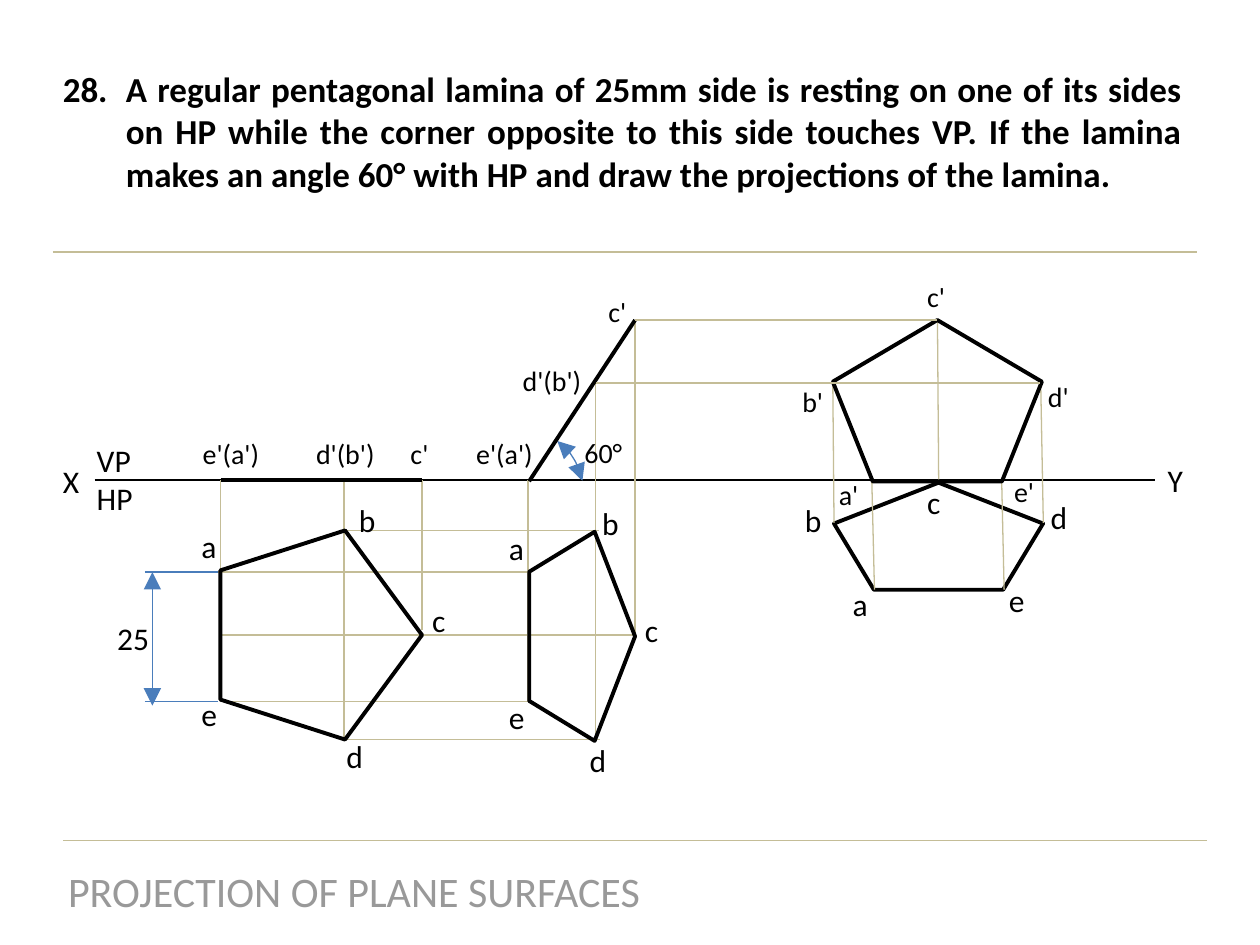
from dataclasses import dataclass

from lxml import etree
from pptx import Presentation
from pptx import util as u
from pptx.dml.color import RGBColor
from pptx.enum import shapes, text
from pptx.oxml.ns import qn

COLORS = {"ink": "000000", "guide": "C4BD97", "dimension": "4A7DBB", "footer": "999999"}
REFERENCE_Y = 274.3
LABEL_HEIGHTS = {16: 26.6, 18: 29}
LABEL_WIDTHS = {1: 24.5, 2: 28, 3: 41, 6: 49}


@dataclass
class Drawing:
    slide: object
    font: str = "Calibri"
    thin: float = 0.75
    thick: float = 2.25

    def style_line(self, shape, color, weight, arrows=False):
        shape.line.color.rgb = RGBColor.from_string(COLORS[color])
        shape.line.width = u.Pt(weight)
        if arrows:
            for end in ("a:headEnd", "a:tailEnd"):
                etree.SubElement(shape.line._get_or_add_ln(), qn(end),
                                 type="triangle", w="lg", len="lg")

    def line(self, start, end, color="guide", weight=None, arrows=False):
        connector = self.slide.shapes.add_connector(
            shapes.MSO_CONNECTOR.STRAIGHT, *map(u.Pt, start + end))
        self.style_line(connector, color, weight or self.thin, arrows)
        etree.SubElement(connector._element.spPr, qn("a:effectLst"))

    def outline(self, preset, box, color="ink", weight=None, rotation=0, arrows=False):
        shape = self.slide.shapes.add_shape(preset, *map(u.Pt, box))
        shape.shadow.inherit = False
        shape.fill.background()
        shape.rotation = rotation
        self.style_line(shape, color, weight or self.thick, arrows)
        return shape

    def pentagon(self, box, rotation=0):
        self.outline(shapes.MSO_SHAPE.REGULAR_PENTAGON, box, rotation=rotation)

    def angle_arc(self, box, rotation, start):
        arc = self.outline(shapes.MSO_SHAPE.ARC, box, "dimension", self.thin, rotation, True)
        arc.adjustments[0] = start
        arc.adjustments[1] = 0

    def text(self, content, box, size, color="ink", bold=False, wrap=True, align=None):
        frame = self.slide.shapes.add_textbox(*map(u.Pt, box)).text_frame
        frame.word_wrap = wrap
        frame.text = content
        for paragraph in frame.paragraphs:
            paragraph.alignment = align
            for run in paragraph.runs:
                run.font.name = self.font
                run.font.size = u.Pt(size)
                run.font.bold = bold
                run.font.color.rgb = RGBColor.from_string(COLORS[color])
        return frame

    def label(self, content, left, top, size=18, width=None):
        width = width or LABEL_WIDTHS[len(content)]
        self.text(content, (left, top, width, LABEL_HEIGHTS[size]), size, wrap=False)

    def question(self, content, number, box):
        frame = self.text(content, box, 20, bold=True, align=text.PP_ALIGN.JUSTIFY)
        properties = frame.paragraphs[0]._p.get_or_add_pPr()
        properties.set("marL", str(u.Pt(36)))
        properties.set("indent", str(-u.Pt(36)))
        bullet_color = etree.SubElement(properties, qn("a:buClr"))
        etree.SubElement(bullet_color, qn("a:srgbClr"), val=COLORS["ink"])
        etree.SubElement(properties, qn("a:buFont"), typeface="+mj-lt")
        etree.SubElement(properties, qn("a:buAutoNum"), type="arabicPeriod", startAt=str(number))


def draw_frame(drawing):
    drawing.question(
        "A regular pentagonal lamina of 25mm side is resting on one of its sides on HP "
        "while the corner opposite to this side touches VP. If the lamina makes an angle "
        "60° with HP and draw the projections of the lamina.", 28, (28.8, 35.3, 653.8, 104.4))
    drawing.line((36, 480.2), (689.8, 480.2))
    drawing.line((30.2, 144), (684, 144))
    drawing.text("PROJECTION OF PLANE SURFACES", (30.2, 491, 344.2, 36), 24, "footer",
                 align=text.PP_ALIGN.CENTER)
    drawing.line((54, REFERENCE_Y), (660.2, REFERENCE_Y), "ink")
    drawing.label("X", 28.8, 260.6)
    drawing.label("Y", 660.2, 259.9)
    drawing.text("VP\nHP", (48.2, 248.4, 35.3, 51.1), 18, wrap=False)


def draw_guides(drawing):
    for x, bottom, top in [(126, 326.2, REFERENCE_Y), (196.6, 423.4, REFERENCE_Y),
                           (241.2, 360, REFERENCE_Y), (301.7, 401, REFERENCE_Y),
                           (340.2, 424, 218.9), (362.9, 362.9, 182.9)]:
        drawing.line((x, bottom), (x, top))
    for y, left, right in [(303.1, 196.6, 342), (326.9, 124.6, 301), (362.9, 126, 362.9),
                           (401, 126, 302.4), (422.6, 198, 342.7)]:
        drawing.line((left, y), (right, y))


def draw_dimensions(drawing):
    for y in (326.9, 401):
        drawing.line((82.8, y), (124.6, y), "dimension")
    drawing.line((87.1, 326.9), (87.1, 403.2), "dimension", arrows=True)
    drawing.label("25", 59.8, 349.9, width=34)
    drawing.angle_arc((296.6, 249.1, 36.7, 59.8), 346.7, 174.466)
    drawing.label("60°", 326.9, 245.5, 16)


def draw_views(drawing):
    drawing.line((126, REFERENCE_Y), (241.2, REFERENCE_Y), "ink", drawing.thick)
    drawing.line((302.4, 275), (362.9, 182.9), "ink", drawing.thick)
    drawing.pentagon((123.8, 305.3, 119.5, 115.2), 90)
    drawing.pentagon((272.9, 333.4, 119.5, 60.5), 90)
    drawing.pentagon((476.6, 275.8, 119.5, 61.2))
    for top, bottom in [((594.7, 218.2), (596.2, 298.8)), ((535.7, 182.9), (536.4, 275.8)),
                        ((475.9, 218.2), (476.6, 298.8)), ((498.2, 275), (499.7, 337)),
                        ((572.4, 275), (573.8, 337))]:
        drawing.line(top, bottom)
    drawing.pentagon((475.9, 182.9, 119.5, 92.2))
    drawing.line((362.9, 182.9), (535.7, 182.9))
    drawing.line((340.6, 218.9), (594, 218.9))


def draw_labels(drawing):
    plan_views = [
        [(108, 297.4), (198, 283), (239.8, 339.8), (190.8, 417.6), (108, 393.8)],
        [(283.7, 298.8), (337, 284.4), (361.4, 345.6), (329.8, 419.8), (283.7, 395.3)],
        [(480.2, 330.5), (452.9, 283), (522.7, 272.2), (593.3, 280.8), (569.5, 328.3)],
    ]
    for positions in plan_views:
        for letter, position in zip("abcde", positions):
            drawing.label(letter, *position)
    elevation_views = [
        (("e'(a')", "d'(b')", "c'"), [(108.7, 246.2), (173.5, 246.2), (227.5, 246.2)]),
        (("e'(a')", "d'(b')", "c'"), [(265, 246.2), (291.6, 204.5), (340.6, 164.9)]),
        (("a'", "b'", "c'", "d'", "e'"),
         [(472.3, 269.3), (451.4, 216), (522.7, 156.2), (591.8, 213.1), (572.4, 267.8)]),
    ]
    for names, positions in elevation_views:
        for name, position in zip(names, positions):
            drawing.label(name, *position, size=16)


def main():
    presentation = Presentation()
    presentation.slide_width = u.Pt(720)
    presentation.slide_height = u.Pt(540)
    drawing = Drawing(presentation.slides.add_slide(presentation.slide_layouts[6]))
    draw_frame(drawing)
    draw_guides(drawing)
    draw_dimensions(drawing)
    draw_views(drawing)
    draw_labels(drawing)
    presentation.save("out.pptx")


if __name__ == "__main__":
    main()
